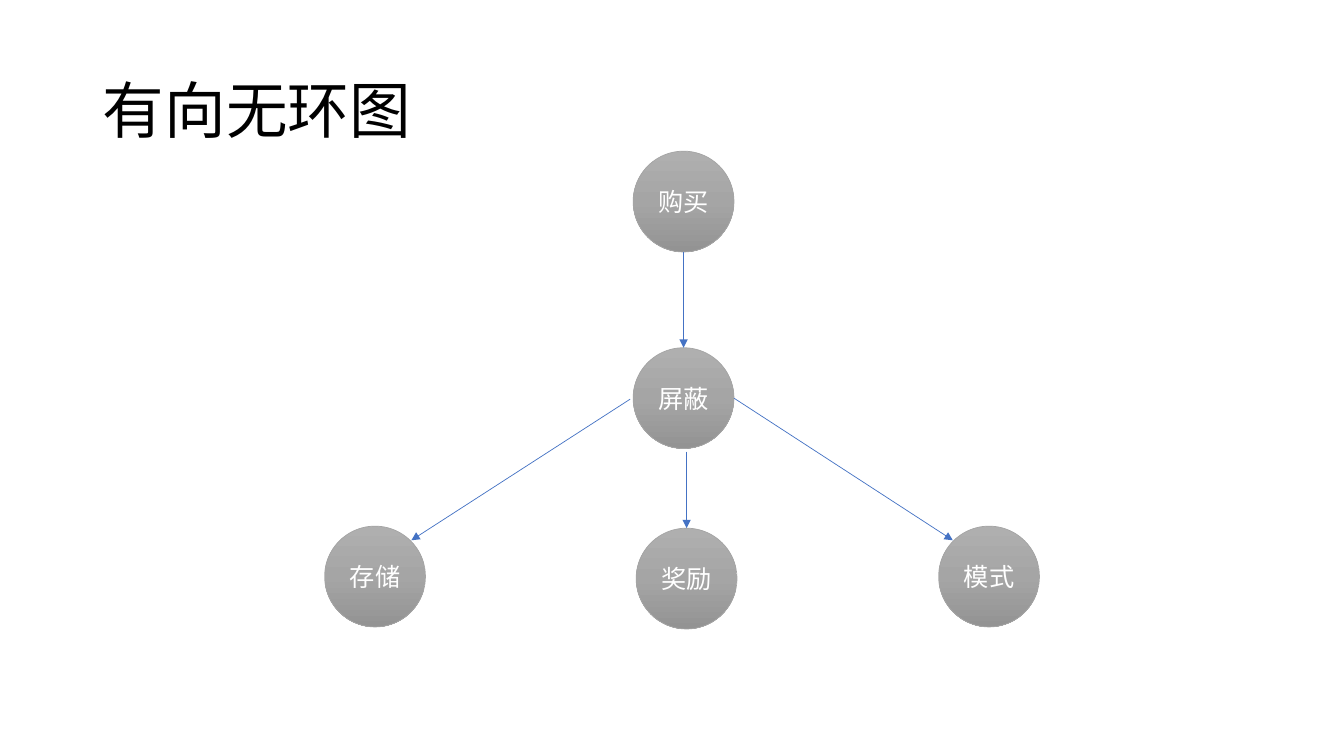
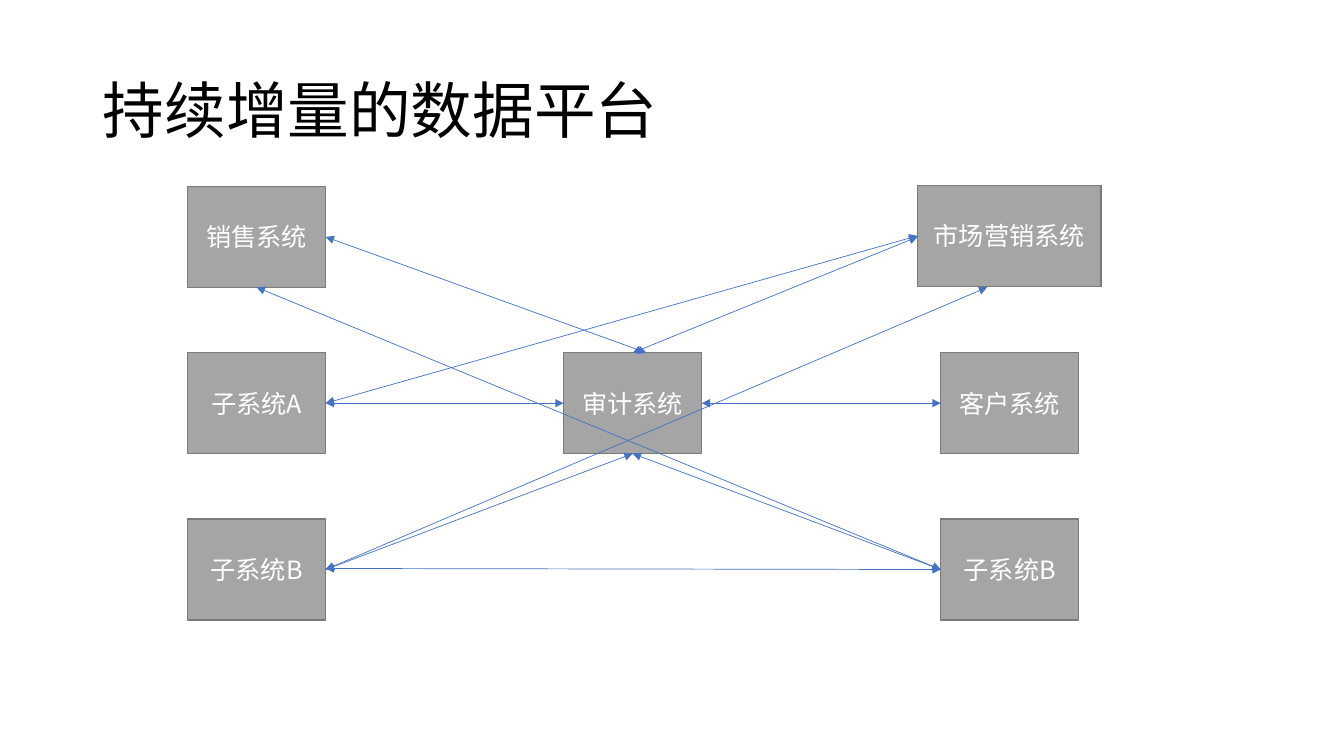
from copy import deepcopy
from dataclasses import dataclass
from typing import Sequence

from lxml.etree import SubElement
from pptx import Presentation
from pptx.dml.color import RGBColor
from pptx.enum.shapes import MSO_CONNECTOR as Connector, MSO_SHAPE as Preset
from pptx.enum.text import MSO_ANCHOR as Anchor, MSO_AUTO_SIZE as AutoSize, PP_ALIGN as Align
from pptx.oxml.ns import qn
from pptx.shapes.autoshape import Shape
from pptx.slide import Slide
from pptx.util import Inches, Pt

BLACK = RGBColor(0x00, 0x00, 0x00)
WHITE = RGBColor(0xFF, 0xFF, 0xFF)
GRAY = RGBColor(0xA5, 0xA5, 0xA5)
LIGHT_GRAY = RGBColor(0xAF, 0xAF, 0xAF)
DARK_GRAY = RGBColor(0x93, 0x93, 0x93)
BORDER_GRAY = RGBColor(0x7A, 0x7A, 0x7A)
BLUE = RGBColor(0x44, 0x72, 0xC4)
FONT = "Noto Sans CJK SC"
TITLE_ONLY = 5
NODE_SIZE = 1.0
SYSTEM_WIDTH = 1.37

TOP = (0.5, 0.0)
BOTTOM = (0.5, 1.0)
LEFT = (0.0, 0.5)
RIGHT = (1.0, 0.5)
UPPER_LEFT = (0.14, 0.14)
UPPER_RIGHT = (0.86, 0.14)


@dataclass(frozen=True)
class Node:
    label: str
    left: float
    top: float
    width: float = NODE_SIZE

    def point(self, side: tuple[float, float]) -> tuple[int, int]:
        across, down = side
        return Inches(self.left + across * self.width), Inches(self.top + down * NODE_SIZE)


@dataclass(frozen=True)
class Link:
    source: Node
    source_side: tuple[float, float]
    target: Node
    target_side: tuple[float, float]


def write(shape: Shape, text: str, size: int, color: RGBColor, align: Align) -> None:
    frame = shape.text_frame
    frame.vertical_anchor = Anchor.MIDDLE
    frame.word_wrap = True
    paragraph = frame.paragraphs[0]
    paragraph.alignment = align
    run = paragraph.add_run()
    run.text = text
    run.font.size = Pt(size)
    run.font.color.rgb = color
    run.font.name = FONT
    SubElement(run.font._element, qn("a:ea")).set("typeface", FONT)


def add_titled_slide(deck: Presentation, text: str) -> Slide:
    slide = deck.slides.add_slide(deck.slide_layouts[TITLE_ONLY])
    title = slide.shapes.title
    title.left, title.top = Inches(0.92), Inches(0.4)
    title.width, title.height = Inches(11.5), Inches(1.45)
    write(title, text, 44, BLACK, Align.LEFT)
    title.text_frame.auto_size = AutoSize.NONE
    title.text_frame.paragraphs[0].line_spacing = 0.9
    return slide


def add_node(slide: Slide, node: Node, preset: Preset, border: RGBColor, weight: float) -> Shape:
    shape = slide.shapes.add_shape(
        preset, Inches(node.left), Inches(node.top), Inches(node.width), Inches(NODE_SIZE)
    )
    shape.shadow.inherit = False
    shape.line.color.rgb = border
    shape.line.width = Pt(weight)
    write(shape, node.label, 18, WHITE, Align.CENTER)
    return shape


def add_circle(slide: Slide, node: Node) -> None:
    fill = add_node(slide, node, Preset.OVAL, GRAY, 0.5).fill
    fill.gradient()
    fill.gradient_angle = 270
    first_stop = fill.gradient_stops[0]._gs
    first_stop.addnext(deepcopy(first_stop))
    for index, color in enumerate((LIGHT_GRAY, GRAY, DARK_GRAY)):
        stop = fill.gradient_stops[index]
        stop.position = index / 2
        stop.color.rgb = color


def add_system(slide: Slide, node: Node) -> None:
    fill = add_node(slide, node, Preset.RECTANGLE, BORDER_GRAY, 1).fill
    fill.solid()
    fill.fore_color.rgb = GRAY


def add_links(slide: Slide, links: Sequence[Link], arrowheads: Sequence[str]) -> None:
    for link in links:
        connector = slide.shapes.add_connector(
            Connector.STRAIGHT,
            *link.source.point(link.source_side),
            *link.target.point(link.target_side),
        )
        connector.line.color.rgb = BLUE
        connector.line.width = Pt(0.5)
        outline = connector.line._get_or_add_ln()
        for end in arrowheads:
            SubElement(outline, qn(f"a:{end}")).set("type", "triangle")
        SubElement(connector._element.spPr, qn("a:effectLst"))


def build_graph(deck: Presentation) -> None:
    slide = add_titled_slide(deck, "有向无环图")
    purchase = Node("购买", 6.28, 1.5)
    storage = Node("存储", 3.22, 5.22)
    pattern = Node("模式", 9.31, 5.22)
    masking = Node("屏蔽", 6.28, 3.45)
    reward = Node("奖励", 6.31, 5.24)
    for node in (purchase, storage, pattern, masking, reward):
        add_circle(slide, node)
    links = (
        Link(purchase, BOTTOM, masking, TOP),
        Link(masking, (-0.03, 0.51), storage, UPPER_RIGHT),
        Link(masking, (0.53, 1.03), reward, TOP),
        Link(masking, RIGHT, pattern, UPPER_LEFT),
    )
    add_links(slide, links, ("tailEnd",))


def build_platform(deck: Presentation) -> None:
    slide = add_titled_slide(deck, "持续增量的数据平台")
    left_column, middle_column, right_column = 1.86, 5.59, 9.33
    first_row, second_row, third_row = (1.85 + 1.65 * row for row in range(3))
    sales = Node("销售系统", left_column, first_row, SYSTEM_WIDTH)
    audit = Node("审计系统", middle_column, second_row, SYSTEM_WIDTH)
    marketing = Node("市场营销系统", 9.1, 1.84, 1.82)
    customer = Node("客户系统", right_column, second_row, SYSTEM_WIDTH)
    subsystem_a = Node("子系统A", left_column, second_row, SYSTEM_WIDTH)
    left_subsystem_b = Node("子系统B", left_column, third_row, SYSTEM_WIDTH)
    right_subsystem_b = Node("子系统B", right_column, third_row, SYSTEM_WIDTH)
    for node in (
        sales, audit, marketing, customer, subsystem_a, left_subsystem_b, right_subsystem_b
    ):
        add_system(slide, node)
    links = (
        Link(left_subsystem_b, (1.0, 0.49), right_subsystem_b, LEFT),
        Link(customer, LEFT, audit, RIGHT),
        Link(marketing, (0.0, 0.51), audit, TOP),
        Link(subsystem_a, RIGHT, audit, LEFT),
        Link(subsystem_a, RIGHT, marketing, LEFT),
        Link(sales, RIGHT, audit, (0.6, 0.0)),
        Link(right_subsystem_b, LEFT, audit, BOTTOM),
        Link(left_subsystem_b, RIGHT, audit, BOTTOM),
        Link(left_subsystem_b, RIGHT, marketing, (0.38, 1.01)),
        Link(sales, BOTTOM, right_subsystem_b, LEFT),
    )
    add_links(slide, links, ("headEnd", "tailEnd"))


def main() -> None:
    deck = Presentation()
    deck.slide_width, deck.slide_height = Inches(13.33), Inches(7.5)
    build_graph(deck)
    build_platform(deck)
    deck.save("out.pptx")


if __name__ == "__main__":
    main()
